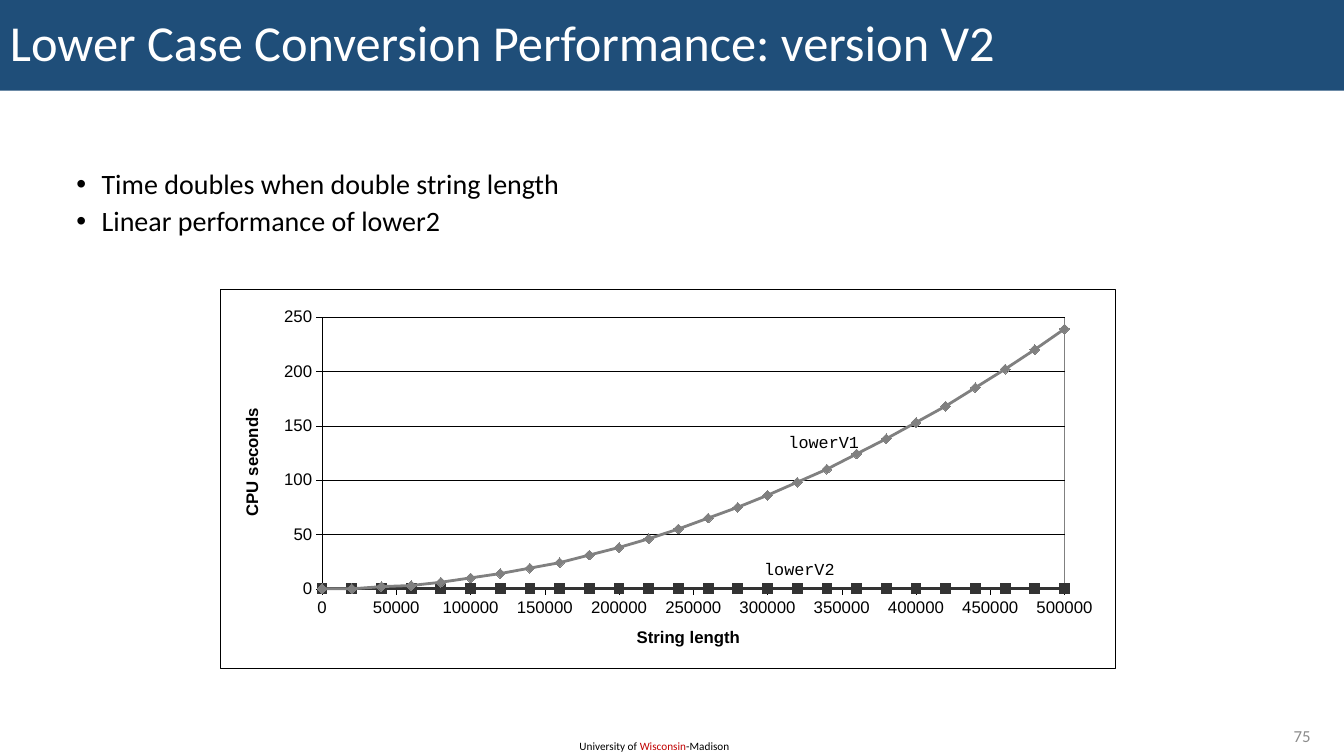
from lxml import etree
from pptx import Presentation
from pptx.chart import data as chart_data
from pptx.dml import color as dml_color
from pptx.enum import chart as chart_enum, shapes, text
from pptx.oxml import ns, parse_xml
from pptx.util import Pt

LENGTHS = range(0, 500001, 20000)
SECONDS_V1 = [0, 0, 2, 3, 6, 10, 14, 19, 24, 31, 38, 46, 55, 65, 75, 86, 98,
              110, 124, 138, 153, 168, 185, 202, 220, 239]
SECONDS_V2 = [0] * len(LENGTHS)
BLACK, WHITE, NAVY, GRAY, DARK = "000000", "FFFFFF", "1F4E79", "808080", "333333"


def rgb(value):
    return dml_color.RGBColor.from_string(value)


def assign(target, values):
    for name, value in values.items():
        setattr(target, name, value)


def set_font(font, size, color=BLACK, name="Calibri", bold=False):
    assign(font, {"size": Pt(size), "name": name, "bold": bold})
    font.color.rgb = rgb(color)


def set_line(line, color, width):
    line.color.rgb = rgb(color)
    line.width = Pt(width)


def write(paragraph, runs, size, name="Calibri"):
    for wording, color in runs:
        run = paragraph.add_run()
        run.text = wording
        set_font(run.font, size, color, name)


def add_label(slide, box, runs, size, name="Calibri", align=None, **frame_values):
    frame = slide.shapes.add_textbox(*map(Pt, box)).text_frame
    assign(frame, {"word_wrap": True, **frame_values})
    frame.paragraphs[0].alignment = align
    write(frame.paragraphs[0], runs, size, name)


def add_banner(slide, wording):
    banner = slide.shapes.add_shape(shapes.MSO_SHAPE.RECTANGLE, 0, 0, Pt(960), Pt(64.8))
    banner.shadow.inherit = False
    banner.fill.solid()
    banner.fill.fore_color.rgb = rgb(NAVY)
    banner.line.fill.background()
    assign(banner.text_frame, {"word_wrap": True, "vertical_anchor": text.MSO_ANCHOR.MIDDLE})
    heading = banner.text_frame.paragraphs[0]
    assign(heading, {"alignment": text.PP_ALIGN.LEFT, "line_spacing": 0.9})
    write(heading, [(wording, WHITE)], 36)


def add_bullets(slide, box, points):
    frame = slide.shapes.add_textbox(*map(Pt, box)).text_frame
    frame.word_wrap = True
    for index, point in enumerate(points):
        paragraph = frame.add_paragraph() if index else frame.paragraphs[0]
        assign(paragraph, {"line_spacing": 0.9, "space_before": Pt(5 if index else 0)})
        properties = paragraph._p.get_or_add_pPr()
        properties.set("marL", str(Pt(54)))
        properties.set("indent", str(Pt(-18)))
        etree.SubElement(properties, ns.qn("a:buFont"), typeface="Arial")
        etree.SubElement(properties, ns.qn("a:buChar"), char="•")
        write(paragraph, [(point, BLACK)], 20)


def frame_xml(fill, border):
    return parse_xml(
        f'<c:spPr {ns.nsdecls("c", "a")}>{fill}<a:ln w="{Pt(0.25)}"><a:solidFill>'
        f'<a:srgbClr val="{border}"/></a:solidFill></a:ln></c:spPr>')


def frame_chart(chart, plot_box):
    space = chart._chartSpace
    white = f'<a:solidFill><a:srgbClr val="{WHITE}"/></a:solidFill>'
    space.find(ns.qn("c:chart")).addnext(frame_xml(white, BLACK))
    area = space.find(".//" + ns.qn("c:plotArea"))
    for layout in area.findall(ns.qn("c:layout")):
        area.remove(layout)
    sizes = "".join(f'<c:{tag} val="{value}"/>' for tag, value in zip("xywh", plot_box))
    area.insert(0, parse_xml(
        f'<c:layout {ns.nsdecls("c")}><c:manualLayout><c:layoutTarget val="inner"/>'
        f'<c:xMode val="edge"/><c:yMode val="edge"/>{sizes}</c:manualLayout></c:layout>'))
    area.append(frame_xml("<a:noFill/>", GRAY))


def style_axis(axis, title, maximum, step, gridlines):
    assign(axis, {
        "minimum_scale": 0, "maximum_scale": maximum, "major_unit": step,
        "has_major_gridlines": gridlines,
        "major_tick_mark": chart_enum.XL_TICK_MARK.OUTSIDE,
        "minor_tick_mark": chart_enum.XL_TICK_MARK.NONE,
    })
    assign(axis.tick_labels, {"number_format": "General", "number_format_is_linked": False})
    set_font(axis.tick_labels.font, 12, name="Arial")
    set_line(axis.format.line, BLACK, 0.25)
    if gridlines:
        set_line(axis.major_gridlines.format.line, BLACK, 0.25)
    caption = axis.axis_title.text_frame.paragraphs[0]
    caption.text = title
    set_font(caption.runs[0].font, 12, name="Arial", bold=True)


def style_series(series, color, marker):
    series.smooth = True
    set_line(series.format.line, color, 2)
    assign(series.marker, {"style": marker, "size": 7})
    series.marker.format.fill.solid()
    series.marker.format.fill.fore_color.rgb = rgb(color)
    set_line(series.marker.format.line, color, 0.25)


def add_timing_chart(slide, box):
    timings = chart_data.XyChartData()
    for name, seconds in (("Series 1", SECONDS_V1), ("Series 2", SECONDS_V2)):
        series = timings.add_series(name)
        for length, second in zip(LENGTHS, seconds):
            series.add_data_point(length, second)
    chart = slide.shapes.add_chart(
        chart_enum.XL_CHART_TYPE.XY_SCATTER_SMOOTH, *map(Pt, box), timings).chart
    assign(chart, {"has_title": False, "has_legend": False})
    set_font(chart.font, 12, name="Arial")
    chart.plots[0].vary_by_categories = False
    style_axis(chart.category_axis, "String length", 500000, 50000, False)
    style_axis(chart.value_axis, "CPU seconds", 250, 50, True)
    markers = chart_enum.XL_MARKER_STYLE
    looks = ((GRAY, markers.DIAMOND), (DARK, markers.SQUARE))
    for series, look in zip(chart.plots[0].series, looks):
        style_series(series, *look)
    frame_chart(chart, (0.114, 0.073, 0.829, 0.718))


def main():
    deck = Presentation()
    assign(deck, {"slide_width": Pt(960), "slide_height": Pt(540)})
    slide = deck.slides.add_slide(deck.slide_layouts[6])
    add_label(slide, (406.8, 524.2, 123.8, 17.3),
              [("University of ", BLACK), ("Wisconsin", "C00000"), ("-Madison", BLACK)], 8)
    add_banner(slide, "Lower Case Conversion Performance: version V2")
    add_bullets(slide, (11.5, 118, 942, 388),
                ["Time doubles when double string length", "Linear performance of lower2"])
    add_label(slide, (888.5, 514.8, 54.7, 21.6), [("75", "8C8C8C")], 12,
              align=text.PP_ALIGN.RIGHT, vertical_anchor=text.MSO_ANCHOR.MIDDLE)
    add_timing_chart(slide, (157, 206.6, 640, 270.7))
    for curve, left, top in (("lowerV1", 561, 306), ("lowerV2", 543.6, 396.7)):
        add_label(slide, (left, top, 54, 17.3), [(curve, BLACK)], 12, "Courier New",
                  word_wrap=False, margin_left=Pt(2.2), margin_top=Pt(2.2),
                  margin_right=0, margin_bottom=0)
    deck.save("out.pptx")


if __name__ == "__main__":
    main()
